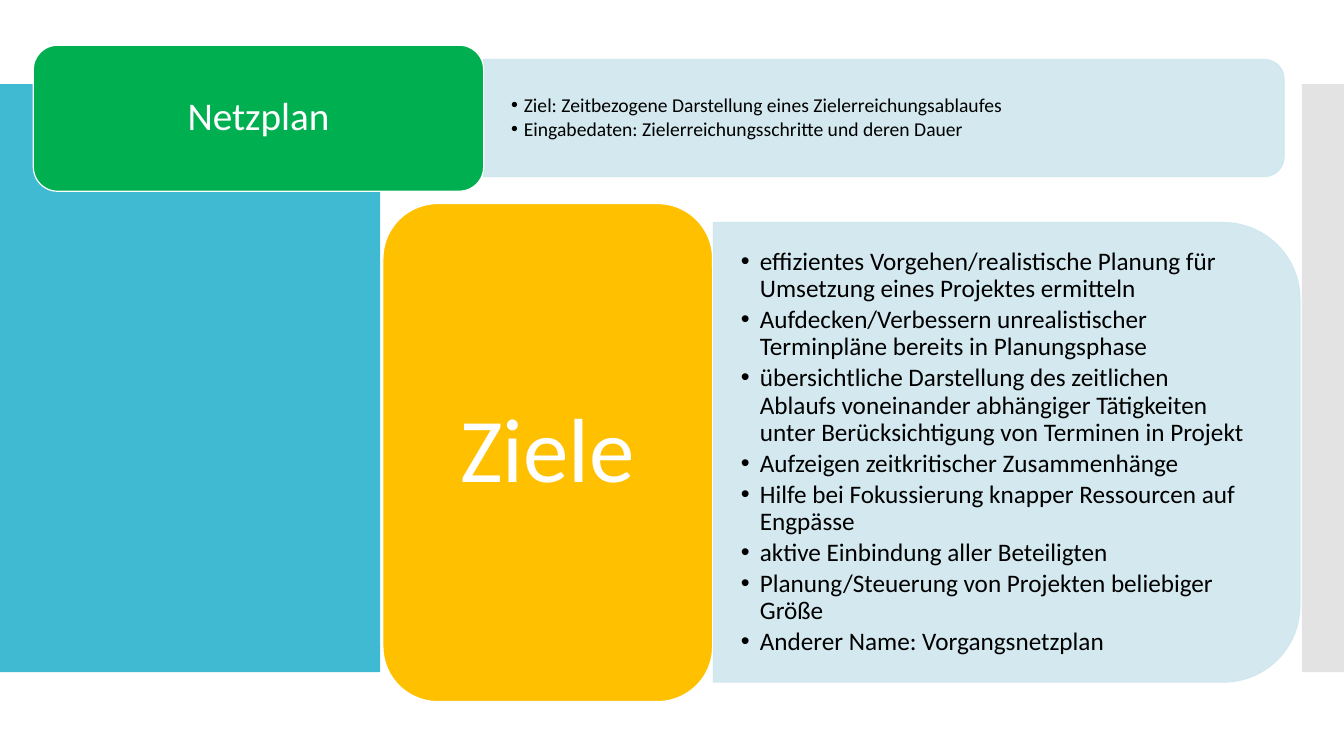
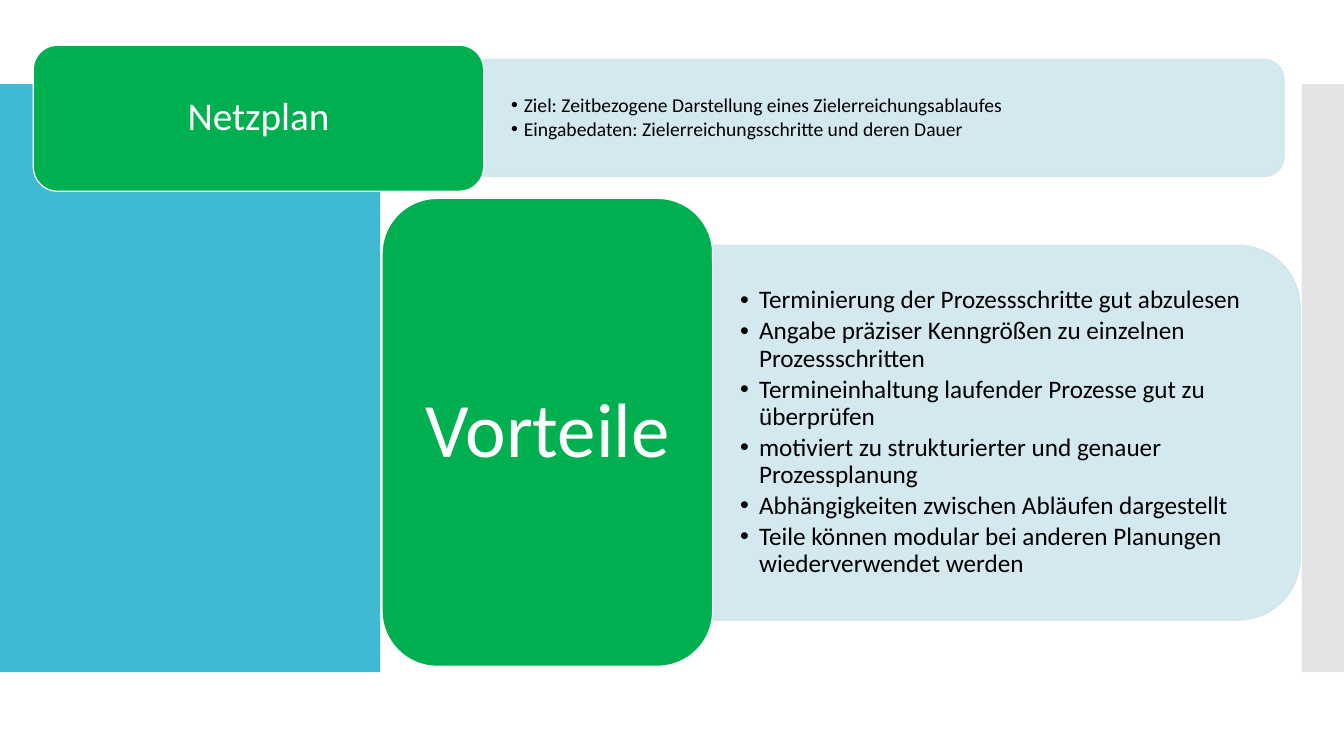
"""Build two slides on the aims and the advantages of network planning."""
from dataclasses import dataclass
from typing import Optional

from lxml.etree import SubElement
from pptx import Presentation
from pptx.dml.color import RGBColor
from pptx.enum.shapes import MSO_SHAPE
from pptx.enum.text import MSO_ANCHOR, MSO_AUTO_SIZE, PP_ALIGN
from pptx.oxml.ns import qn
from pptx.util import Cm, Pt

COLORS = {
    "band": "40BAD2",
    "edge": "C8C8C8",
    "panel": "CFE7EE",
    "green": "00B050",
    "amber": "FFC000",
    "white": "FFFFFF",
    "black": "000000",
}
FONT = "Calibri"
TWO_CONTENT_LAYOUT = 3
PANEL_INSET_RATIO = 0.0488


@dataclass(frozen=True)
class Box:
    left: float
    top: float
    width: float
    height: float

    def lengths(self) -> tuple:
        return Cm(self.left), Cm(self.top), Cm(self.width), Cm(self.height)

    def turned(self) -> "Box":
        shift = (self.width - self.height) / 2
        return Box(self.left + shift, self.top - shift, self.height, self.width)

    def panel_text(self) -> "Box":
        inset = self.height * PANEL_INSET_RATIO
        return Box(self.left, self.top + inset, self.width - inset, self.height - 2 * inset)


@dataclass(frozen=True)
class Band:
    box: Box
    color: str
    opacity: int


@dataclass(frozen=True)
class Topic:
    heading: str
    heading_size: int
    color: str
    card: Box
    panel: Box
    points: tuple


BANDS = (
    Band(Box(0, 2.12, 9.58, 14.82), "band", 100),
    Band(Box(32.81, 2.12, 1.06, 14.82), "edge", 50),
)
TITLE = "Netzplan"
TITLE_CARD = Box(0.84, 1.14, 11.35, 3.68)
SUMMARY_PANEL = Box(12.19, 1.5, 20.17, 2.95)
SUMMARY = (
    "Ziel: Zeitbezogene Darstellung eines Zielerreichungsablaufes",
    "Eingabedaten: Zielerreichungsschritte und deren Dauer",
)
TOPICS = (
    Topic("Ziele", 65, "amber", Box(9.65, 5.13, 8.31, 12.55), Box(17.98, 5.61, 14.78, 11.58), (
        "effizientes Vorgehen/realistische Planung für Umsetzung eines Projektes ermitteln",
        "Aufdecken/Verbessern unrealistischer Terminpläne bereits in Planungsphase",
        "übersichtliche Darstellung des zeitlichen Ablaufs voneinander abhängiger "
        "Tätigkeiten unter Berücksichtigung von Terminen in Projekt",
        "Aufzeigen zeitkritischer Zusammenhänge",
        "Hilfe bei Fokussierung knapper Ressourcen auf Engpässe",
        "aktive Einbindung aller Beteiligten",
        "Planung/Steuerung von Projekten beliebiger Größe",
        "Anderer Name: Vorgangsnetzplan",
    )),
    Topic("Vorteile", 55, "green", Box(9.63, 5, 8.33, 11.79), Box(17.96, 6.18, 14.81, 9.45), (
        "Terminierung der Prozessschritte gut abzulesen",
        "Angabe präziser Kenngrößen zu einzelnen Prozessschritten",
        "Termineinhaltung laufender Prozesse gut zu überprüfen",
        "motiviert zu strukturierter und genauer Prozessplanung",
        "Abhängigkeiten zwischen Abläufen dargestellt",
        "Teile können modular bei anderen Planungen wiederverwendet werden",
    )),
)


def write_text(shape, lines: tuple, *, size: int, color: str, bullet_indent: Optional[float] = None,
               margin: float = 0.3) -> None:
    frame = shape.text_frame
    frame.word_wrap = True
    frame.auto_size = MSO_AUTO_SIZE.NONE
    frame.vertical_anchor = MSO_ANCHOR.MIDDLE
    frame.margin_left = frame.margin_right = Cm(margin)
    frame.margin_top = frame.margin_bottom = Cm(margin / 2)
    for index, line in enumerate(lines):
        paragraph = frame.add_paragraph() if index else frame.paragraphs[0]
        paragraph.line_spacing = 0.9
        paragraph.space_before = Pt(0)
        if bullet_indent is None:
            paragraph.alignment = PP_ALIGN.CENTER
        else:
            paragraph.alignment = PP_ALIGN.LEFT
            paragraph.space_after = Pt(0.15 * size)
            properties = paragraph._p.get_or_add_pPr()
            properties.set("marL", str(Cm(bullet_indent)))
            properties.set("indent", str(-Cm(bullet_indent)))
            SubElement(properties, qn("a:buChar")).set("char", "•")
        run = paragraph.add_run()
        run.text = line
        run.font.name = FONT
        run.font.size = Pt(size)
        run.font.color.rgb = RGBColor.from_string(COLORS[color])


def set_opacity(fill_owner, percent: int) -> None:
    for color in fill_owner.iter(qn("a:srgbClr")):
        SubElement(color, qn("a:alpha")).set("val", str(percent * 1000))


def add_block(slide, kind: MSO_SHAPE, box: Box, color: str, *, line: Optional[str] = None,
              opacity: int = 100):
    shape = slide.shapes.add_shape(kind, *box.lengths())
    shape.shadow.inherit = False
    shape.fill.solid()
    shape.fill.fore_color.rgb = RGBColor.from_string(COLORS[color])
    if line:
        shape.line.color.rgb = RGBColor.from_string(COLORS[line])
        shape.line.width = Pt(0.85)
    else:
        shape.line.fill.background()
    if opacity < 100:
        set_opacity(shape._element.spPr, opacity)
    return shape


def add_card(slide, box: Box, color: str):
    return add_block(slide, MSO_SHAPE.ROUNDED_RECTANGLE, box, color, line="white")


def place_on_top(slide, placeholder, box: Box) -> None:
    placeholder.left, placeholder.top, placeholder.width, placeholder.height = box.lengths()
    slide.shapes._spTree.append(placeholder._element)


def add_list_panel(slide, placeholder, box: Box, lines: tuple, *, size: int, indent: float) -> None:
    panel = add_block(slide, MSO_SHAPE.ROUND_2_SAME_RECTANGLE, box.turned(), "panel",
                      line="panel", opacity=90)
    panel.rotation = 90
    place_on_top(slide, placeholder, box.panel_text())
    write_text(placeholder, lines, size=size, color="black", bullet_indent=indent, margin=0.69)


def move_bands_to_layout(slide) -> None:
    tree = slide.slide_layout.shapes._spTree
    for index, band in enumerate(BANDS):
        shape = add_block(slide, MSO_SHAPE.RECTANGLE, band.box, band.color, opacity=band.opacity)
        shape._element.nvSpPr.cNvPr.set("id", str(100 + index))
        tree.insert(2 + index, shape._element)


def fill_slide(slide, topic: Topic) -> None:
    title, points, summary = slide.placeholders
    add_list_panel(slide, points, topic.panel, topic.points, size=18, indent=0.48)
    card = add_card(slide, topic.card, topic.color)
    write_text(card, (topic.heading,), size=topic.heading_size, color="white")
    add_list_panel(slide, summary, SUMMARY_PANEL, SUMMARY, size=14, indent=0.32)
    add_card(slide, TITLE_CARD, "green")
    place_on_top(slide, title, TITLE_CARD)
    write_text(title, (TITLE,), size=28, color="white")


def main() -> None:
    presentation = Presentation()
    presentation.slide_width, presentation.slide_height = Cm(33.87), Cm(19.05)
    layout = presentation.slide_layouts[TWO_CONTENT_LAYOUT]
    slides = [presentation.slides.add_slide(layout) for _ in TOPICS]
    move_bands_to_layout(slides[0])
    for slide, topic in zip(slides, TOPICS):
        fill_slide(slide, topic)
    presentation.save("out.pptx")


if __name__ == "__main__":
    main()
